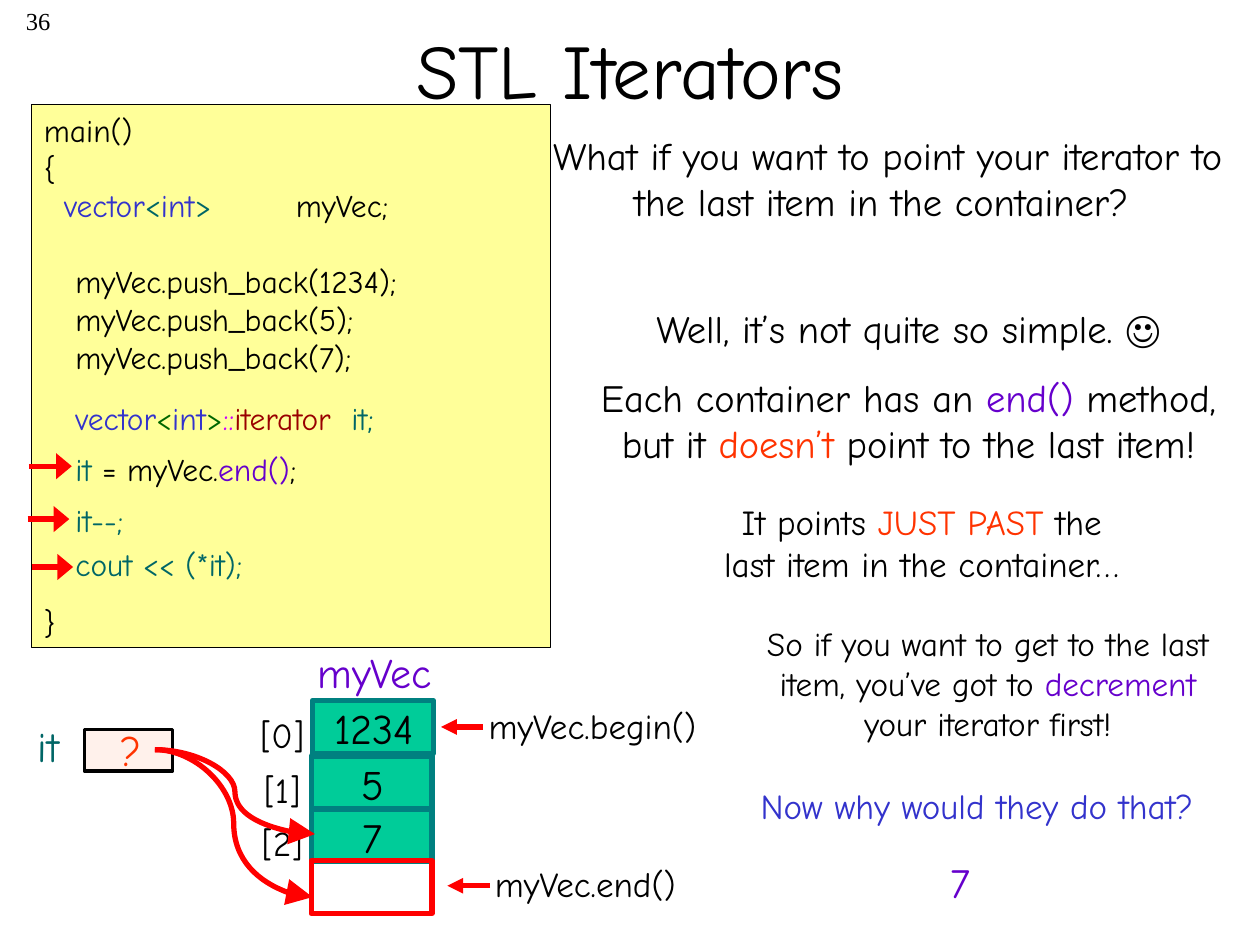
from dataclasses import dataclass

from lxml.etree import SubElement
from pptx import Presentation
from pptx.dml.color import RGBColor
from pptx.enum.shapes import MSO_CONNECTOR, MSO_SHAPE
from pptx.enum.text import MSO_ANCHOR, PP_ALIGN
from pptx.oxml.ns import qn
from pptx.util import Inches, Pt

INK, TEAL, BLUE, PLUM = "000000", "006666", "3333CC", "6600CC"
GREEN, RUST, RED, EDGE = "006600", "FF3300", "FF0000", "008080"
LEFT, MID, RIGHT = PP_ALIGN.LEFT, PP_ALIGN.CENTER, PP_ALIGN.RIGHT
LEAD = 21.7


@dataclass
class Line:
    runs: list
    dent: float = 0
    gap: float = 0
    tab: float = 0


@dataclass
class Note:
    box: tuple
    lines: list
    size: float = 20
    align: PP_ALIGN = LEFT
    wrap: bool = False
    face: str = "Comic Neue"
    hold: MSO_ANCHOR = MSO_ANCHOR.TOP


@dataclass
class Block:
    box: tuple
    fill: str
    edge: str
    width: float


@dataclass
class Arrow:
    start: tuple
    end: tuple
    wide: str = "med"
    long: str = "med"
    kind: MSO_CONNECTOR = MSO_CONNECTOR.STRAIGHT


def paint(target, code: str) -> None:
    target.rgb = RGBColor.from_string(code)


def write(shape, note: Note) -> None:
    frame = shape.text_frame
    frame.word_wrap = note.wrap
    frame.vertical_anchor = note.hold
    style = {"name": note.face, "size": Pt(note.size)}
    for i, line in enumerate(note.lines):
        para = frame.add_paragraph() if i else frame.paragraphs[0]
        para.alignment = note.align
        para.space_before = Pt(line.gap)
        props = para._p.get_or_add_pPr()
        if line.dent:
            props.set("marL", "0")
            props.set("indent", str(Inches(line.dent)))
        if line.tab:
            stops = SubElement(props, qn("a:tabLst"))
            SubElement(stops, qn("a:tab"), pos=str(Inches(line.tab)), algn="l")
        for text, code in line.runs:
            run = para.add_run()
            run.text = text
            for key, value in style.items():
                setattr(run.font, key, value)
            paint(run.font.color, code)


def add_note(slide, note: Note) -> None:
    write(slide.shapes.add_textbox(*map(Inches, note.box)), note)


def add_block(slide, block: Block):
    shape = slide.shapes.add_shape(MSO_SHAPE.RECTANGLE, *map(Inches, block.box))
    shape.shadow.inherit = False
    if block.fill:
        shape.fill.solid()
        paint(shape.fill.fore_color, block.fill)
    else:
        shape.fill.background()
    paint(shape.line.color, block.edge)
    shape.line.width = Pt(block.width)
    return shape


def add_arrow(slide, arrow: Arrow) -> None:
    link = slide.shapes.add_connector(arrow.kind, *map(Inches, arrow.start + arrow.end))
    paint(link.line.color, RED)
    link.line.width = Pt(3)
    head = {"type": "triangle", "w": arrow.wide, "len": arrow.long}
    SubElement(link.line._get_or_add_ln(), qn("a:tailEnd"), head)
    SubElement(link._element.spPr, qn("a:effectLst"))


def plain(text: str, code: str = INK, **rest) -> Line:
    return Line([(text, code)], **rest)


CODE = Note((0.25, 0.83, 4.12, 4.31), [
    plain("main()"),
    plain("{"),
    Line([("vector", BLUE), ("<", TEAL), ("int", BLUE), (">", TEAL)], dent=0.16),
    plain("myVec.push_back(1234);", dent=0.25, gap=LEAD),
    plain("myVec.push_back(5);", dent=0.25),
    plain("myVec.push_back(7);", dent=0.25),
    plain("}", gap=6 * LEAD),
], 18, wrap=True)

NOTES = [
    Note((0, 0, 0.5, 0.5), [plain("36")], 14, RIGHT, face="Times New Roman"),
    Note((0.75, -0.08, 8.5, 1.25), [plain("STL Iterators")], 44, MID, True,
         hold=MSO_ANCHOR.MIDDLE),
    Note((4.17, 1, 5.75, 1.2), [
        plain("What if you want to point your iterator to the last item in the container? "),
    ], 22, MID, True),
    Note((4.42, 2.37, 5.58, 0.47), [plain("Well, it’s not quite so simple. ☺")], 22, MID, True),
    Note((4.42, 2.92, 5.58, 0.83), [
        Line([("Each container has an ", INK), ("end()", PLUM), (" method, but it ", INK),
              ("doesn’t", RUST), (" point to the last item!", INK)]),
    ], 22, MID, True),
    Note((5.46, 3.92, 3.71, 0.77), [
        Line([("It points ", INK), ("JUST PAST", RUST), (" the", INK)]),
        plain("last item in the container…"),
    ], 20, MID),
    Note((5.83, 4.9, 4.02, 1.05), [
        Line([("So if you want to get to the last item, you’ve got to ", INK),
              ("decrement", PLUM), (" your iterator first!", INK)]),
    ], 19, MID, True),
    Note((5.67, 6.18, 4.17, 0.43), [plain("Now why would they do that?", BLUE)], 20, MID, True),
    Note((7.42, 6.75, 0.4, 0.5), [plain("7", PLUM)], 24, MID),
    Note((2.25, 1.43, 1, 0.4), [plain("myVec;")], 18),
    Note((0.5, 3.12, 2.97, 0.4), [
        Line([("vector", BLUE), ("<", GREEN), ("int", BLUE), (">", GREEN), ("::", "CC00FF"),
              ("iterator", "990000"), ("\tit;", TEAL)], tab=2.19),
    ], 18, wrap=True),
    Note((0.5, 3.52, 2.15, 0.4), [
        Line([("it", TEAL), (" = myVec.", INK), ("end()", PLUM), (";", INK)]),
    ], 18),
    Note((0.5, 3.93, 0.67, 0.4), [plain("it--;", TEAL)], 18),
    Note((0.5, 4.28, 1.63, 0.4), [plain("cout << (*it);", TEAL)], 18),
    Note((2.42, 5.08, 1.12, 0.5), [plain("myVec", PLUM)], 24),
    Note((0.16, 5.67, 0.45, 0.5), [plain("it", TEAL)], 24, MID),
    Note((0.85, 5.7, 0.38, 0.5), [plain("?", RUST)], 24, MID),
    Note((3.78, 5.54, 2, 0.43), [plain("myVec.begin()")]),
    Note((3.83, 6.8, 1.77, 0.43), [plain("myVec.end()")]),
]

CELLS = [(2.48, 5.56, "1234"), (2.47, 6, "5"), (2.47, 6.42, "7")]

ARROWS = [
    Arrow((0.23, 3.7), (0.57, 3.7), "lg"),
    Arrow((0.22, 4.12), (0.55, 4.12), "lg"),
    Arrow((0.25, 4.5), (0.58, 4.5), "lg"),
    Arrow((3.83, 5.77), (3.5, 5.77)),
    Arrow((3.89, 7.03), (3.55, 7.03)),
    Arrow((1.23, 5.95), (2.48, 7.12), "lg", "lg", MSO_CONNECTOR.CURVE),
    Arrow((1.23, 5.95), (2.5, 6.62), "lg", "lg", MSO_CONNECTOR.CURVE),
]


def main() -> None:
    deck = Presentation()
    deck.slide_width, deck.slide_height = Inches(10), Inches(7.5)
    slide = deck.slides.add_slide(deck.slide_layouts[6])
    write(add_block(slide, Block(CODE.box, "FFFF99", INK, 0.25)), CODE)
    add_block(slide, Block((0.67, 5.79, 0.7, 0.33), "FFF1EB", INK, 2))
    for x, y, _ in CELLS:
        add_block(slide, Block((x, y, 0.96, 0.42), "00CC99", EDGE, 3))
    for i, (x, y, text) in enumerate(CELLS):
        add_note(slide, Note((x + 0.01, y - 0.03, 0.96, 0.5), [plain(text)], 24, MID))
        add_note(slide, Note((1.89, y + 0.05, 0.7, 0.43), [plain(f"[{i}]")], 20, MID))
    for note in NOTES:
        add_note(slide, note)
    add_block(slide, Block((2.47, 6.83, 0.96, 0.42), "", RED, 3))
    for arrow in ARROWS:
        add_arrow(slide, arrow)
    deck.save("out.pptx")


if __name__ == "__main__":
    main()
